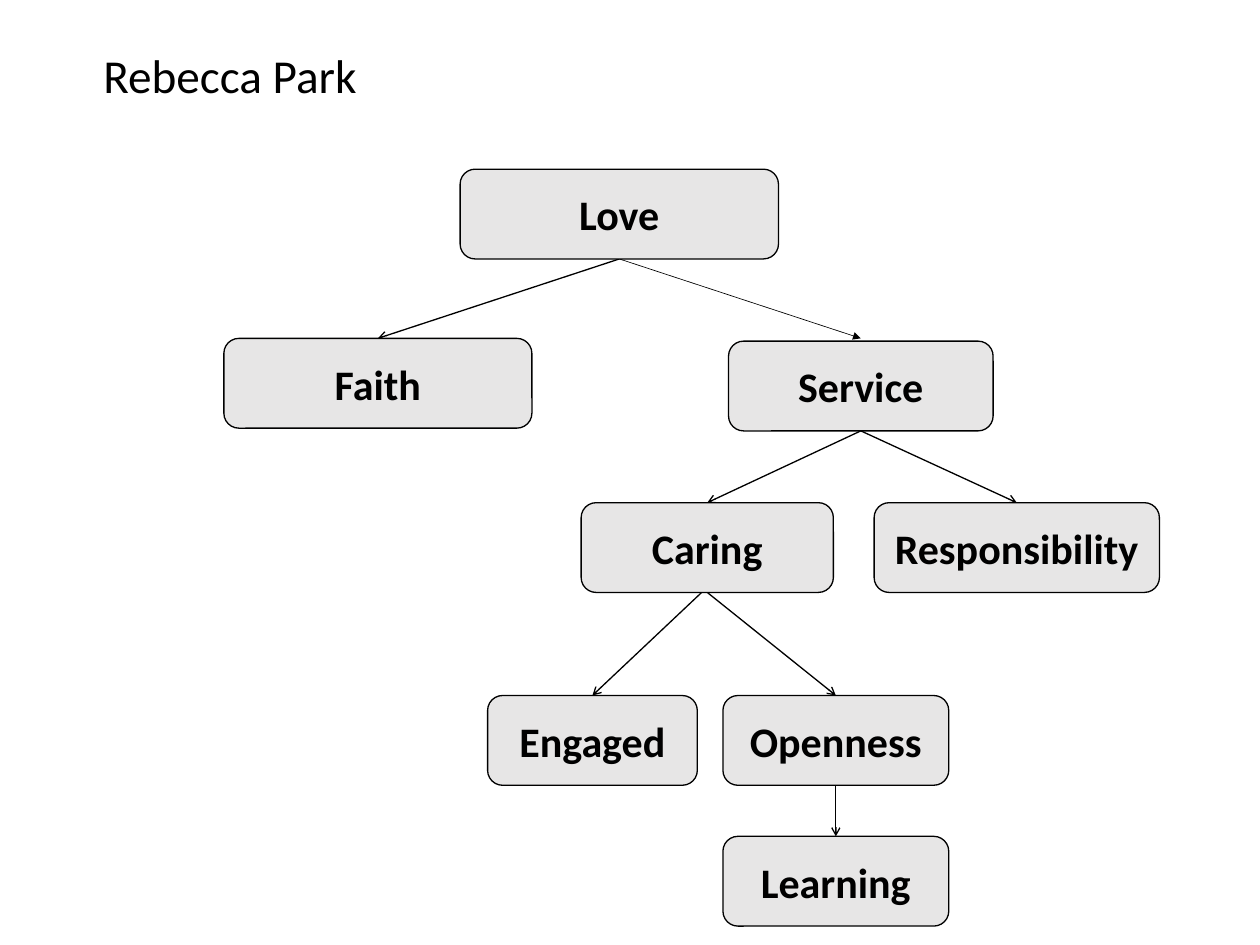
from dataclasses import dataclass

from lxml import etree
from pptx import Presentation
from pptx.dml.color import RGBColor
from pptx.enum.shapes import MSO_CONNECTOR, MSO_SHAPE
from pptx.enum.text import MSO_ANCHOR, PP_ALIGN
from pptx.oxml.ns import qn
from pptx.util import Pt

ROUND = MSO_SHAPE.ROUNDED_RECTANGLE
LINE = MSO_CONNECTOR.STRAIGHT
MIDDLE = MSO_ANCHOR.MIDDLE
CENTER = PP_ALIGN.CENTER
FONT = "Calibri"
BLACK = "000000"
GREY = "E7E6E6"
HIGH = 68.4  # height of every box


@dataclass
class Box:
    name: str
    left: float
    top: float
    width: float

    @property
    def mid(self) -> float:
        return self.left + self.width / 2


@dataclass
class Link:
    parent: str
    child: str
    head: str = "arrow"
    weight: float = 1
    start: tuple[float, float] = (0, 0)  # shift from the parent's bottom centre
    lift: float = 0  # gap between the tip and the child


BOXES = [
    Box("Love", 350.6, 128.9, 242.6),
    Box("Service", 555.1, 259.9, 201.6),
    Box("Engaged", 371.5, 529.9, 159.8),
    Box("Faith", 170.6, 257.8, 234.7),
    Box("Openness", 550.8, 529.9, 172.1),
    Box("Caring", 442.8, 383, 192.2),
    Box("Responsibility", 666, 383, 217.4),
    Box("Learning", 550.8, 637.2, 172.1),
]
LINKS = [
    Link("Love", "Service", "triangle", 0.5, lift=2.1),
    Link("Caring", "Engaged", start=(2.5, -6.4)),
    Link("Love", "Faith"),
    Link("Caring", "Openness"),
    Link("Service", "Caring"),
    Link("Service", "Responsibility"),
    Link("Openness", "Learning"),
]


def color(code: str) -> RGBColor:
    return RGBColor.from_string(code)


def write(shape, text: str, size: float, bold: bool = False) -> None:
    frame = shape.text_frame
    frame.word_wrap = True
    frame.vertical_anchor = MIDDLE
    para = frame.paragraphs[0]
    para.alignment = CENTER
    run = para.add_run()
    run.text = text
    run.font.name = FONT
    run.font.size = Pt(size)
    run.font.bold = bold
    run.font.color.rgb = color(BLACK)


def draw_box(slide, box: Box) -> None:
    shape = slide.shapes.add_shape(
        ROUND, Pt(box.left), Pt(box.top), Pt(box.width), Pt(HIGH))
    shape.shadow.inherit = False
    shape.fill.solid()
    shape.fill.fore_color.rgb = color(GREY)
    shape.line.color.rgb = color(BLACK)
    shape.line.width = Pt(1)
    write(shape, box.name, 32, bold=True)


def draw_link(slide, link: Link, nodes: dict[str, Box]) -> None:
    top, low = nodes[link.parent], nodes[link.child]
    dx, dy = link.start
    line = slide.shapes.add_connector(
        LINE, Pt(top.mid + dx), Pt(top.top + HIGH + dy),
        Pt(low.mid), Pt(low.top - link.lift))
    line.line.color.rgb = color(BLACK)
    line.line.width = Pt(link.weight)
    props = line._element.spPr
    etree.SubElement(props.find(qn("a:ln")), qn("a:tailEnd"), type=link.head)
    etree.SubElement(props, qn("a:effectLst"))


def main() -> None:
    deck = Presentation()
    deck.slide_width, deck.slide_height = Pt(960), Pt(720)
    slide = deck.slides.add_slide(deck.slide_layouts[6])

    # Heading
    title = slide.shapes.add_textbox(Pt(0), Pt(31), Pt(350.6), Pt(51))
    write(title, "Rebecca Park", 36)

    # Arrows lie behind the boxes
    nodes = {box.name: box for box in BOXES}
    for link in LINKS:
        draw_link(slide, link, nodes)
    for box in BOXES:
        draw_box(slide, box)

    deck.save("out.pptx")


if __name__ == "__main__":
    main()
